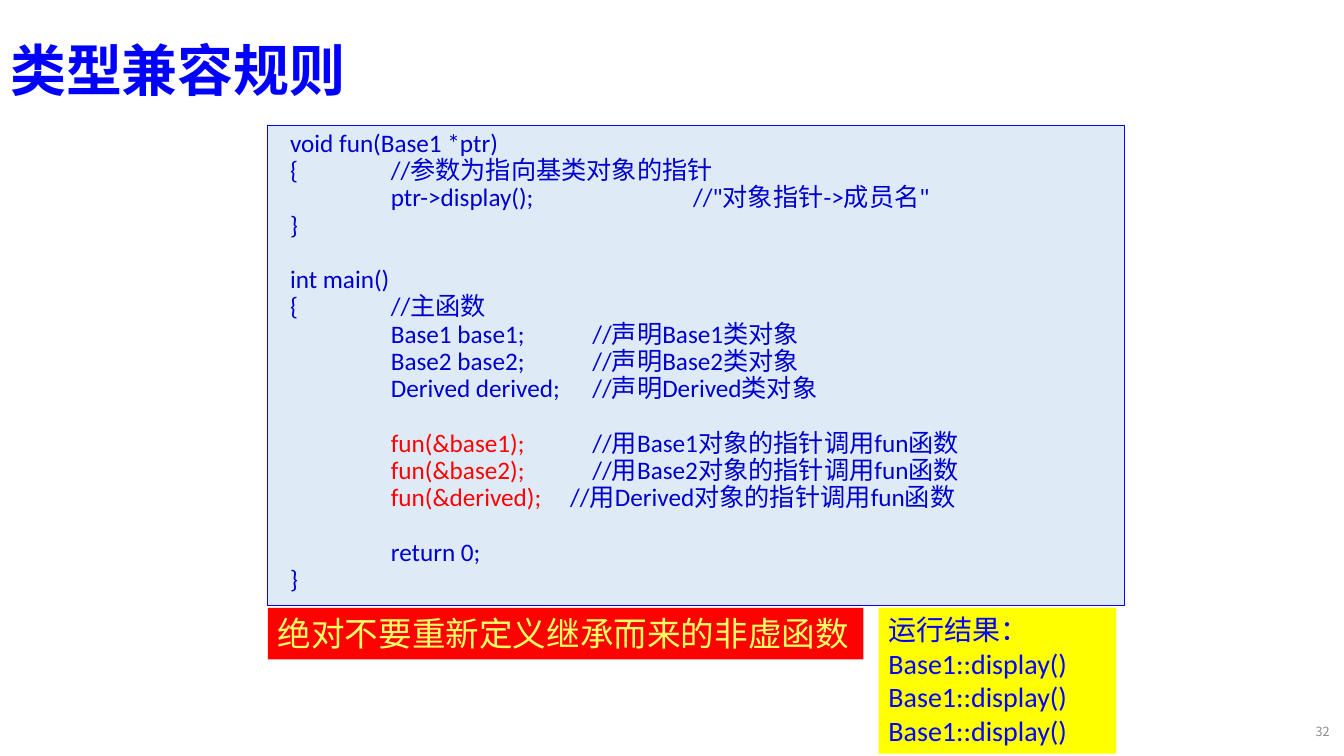
from lxml import etree
from pptx import Presentation
from pptx.dml.color import RGBColor
from pptx.enum.shapes import MSO_SHAPE
from pptx.enum.text import MSO_ANCHOR, PP_ALIGN
from pptx.oxml.ns import qn
from pptx.util import Cm, Pt

RECTANGLE = MSO_SHAPE.RECTANGLE
TOP, MIDDLE = MSO_ANCHOR.TOP, MSO_ANCHOR.MIDDLE
LEFT, RIGHT = PP_ALIGN.LEFT, PP_ALIGN.RIGHT
LATIN, CJK = "Calibri", "Noto Sans CJK SC"

COLORS = {
    "title": "0000FF", "code": "0000CC", "call": "FF0000",
    "code_fill": "DEEBF7", "code_line": "0000FF",
    "result": "0000FF", "result_fill": "FFFF00",
    "warning": "FFFF66", "warning_fill": "FE0202", "number": "8C8C8C",
}

TITLE = "类型兼容规则"
CODE_BLOCKS = [
    ["void fun(Base1 *ptr)",
     "{\t//参数为指向基类对象的指针",
     "\tptr->display();\t\t//\"对象指针->成员名\"",
     "}"],
    ["int main()",
     "{\t//主函数",
     "\tBase1 base1;\t//声明Base1类对象",
     "\tBase2 base2;\t//声明Base2类对象",
     "\tDerived derived;\t//声明Derived类对象"],
    [("\t", "fun(&base1);", "\t//用Base1对象的指针调用fun函数"),
     ("\t", "fun(&base2);", "\t//用Base2对象的指针调用fun函数"),
     ("\t", "fun(&derived);", "\t//用Derived对象的指针调用fun函数")],
    ["\treturn 0;",
     "}"],
]
RESULT = ["运行结果："] + ["Base1::display()"] * 3
WARNING = "绝对不要重新定义继承而来的非虚函数"
PAGE_NUMBER = "32"

CODE_SIZE = 18
BLOCK_GAP = 19.5
CODE_TABS = [Cm(2.54), Cm(7.62), Cm(10.16)]
DERIVED_TABS = [Cm(2.54), Cm(7.06)]


def color(key):
    return RGBColor.from_string(COLORS[key])


def write(paragraph, text, *, size, ink, font=LATIN, bold=False,
          align=LEFT, spacing=1.0, before=0):
    paragraph.alignment = align
    paragraph.line_spacing = spacing
    paragraph.space_before = Pt(before)
    run = paragraph.add_run()
    run.text = text
    run.font.size = Pt(size)
    run.font.name = font
    run.font.bold = bold
    run.font.color.rgb = color(ink)
    properties = run.font._element
    etree.SubElement(properties, qn("a:ea")).set("typeface", font)


def set_tabs(paragraph, stops):
    tabs = etree.SubElement(paragraph._p.get_or_add_pPr(), qn("a:tabLst"))
    for stop in stops:
        tab = etree.SubElement(tabs, qn("a:tab"))
        tab.set("pos", str(int(stop)))
        tab.set("algn", "l")


def add_panel(slide, left, top, width, height, fill, line=None):
    panel = slide.shapes.add_shape(RECTANGLE, left, top, width, height)
    panel.shadow.inherit = False
    panel.fill.solid()
    panel.fill.fore_color.rgb = color(fill)
    if line:
        panel.line.color.rgb = color(line)
        panel.line.width = Pt(0.75)
    else:
        panel.line.fill.background()
    frame = panel.text_frame
    frame.word_wrap = True
    frame.vertical_anchor = TOP
    return frame


def next_paragraph(frame, first):
    return frame.paragraphs[0] if first else frame.add_paragraph()


def add_title(slide):
    title = slide.shapes.title
    title.left, title.top = Cm(0), Cm(0)
    title.width, title.height = Cm(29.21), Cm(3.68)
    title.text_frame.vertical_anchor = MIDDLE
    write(title.text_frame.paragraphs[0], TITLE, size=40, ink="title",
          font=CJK, bold=True, spacing=0.9)


def add_code(slide):
    frame = add_panel(slide, Cm(6.75), Cm(3.17), Cm(21.6), Cm(12.09),
                      "code_fill", "code_line")
    frame.margin_left = Cm(0.56)
    for block_index, block in enumerate(CODE_BLOCKS):
        for line_index, line in enumerate(block):
            first = block_index == line_index == 0
            gap = BLOCK_GAP if block_index and not line_index else 0
            paragraph = next_paragraph(frame, first)
            parts = (line,) if isinstance(line, str) else line
            for part_index, part in enumerate(parts):
                write(paragraph, part, size=CODE_SIZE, spacing=0.9, before=gap,
                      ink="call" if part_index == 1 else "code")
            derived_call = "fun(&derived);" in parts
            set_tabs(paragraph, DERIVED_TABS if derived_call else CODE_TABS)


def add_result(slide):
    frame = add_panel(slide, Cm(22.14), Cm(15.31), Cm(5.99), Cm(3.68),
                      "result_fill")
    for index, line in enumerate(RESULT):
        write(next_paragraph(frame, index == 0), line, size=20, ink="result")


def add_warning(slide):
    frame = add_panel(slide, Cm(6.75), Cm(15.32), Cm(15.01), Cm(1.3),
                      "warning_fill")
    write(frame.paragraphs[0], WARNING, size=24, ink="warning")


def add_page_number(slide):
    box = slide.shapes.add_textbox(Cm(32.74), Cm(17.93), Cm(1.02), Cm(1.02))
    frame = box.text_frame
    frame.word_wrap = True
    frame.vertical_anchor = MIDDLE
    write(frame.paragraphs[0], PAGE_NUMBER, size=9, ink="number",
          font=CJK, align=RIGHT)


def main():
    deck = Presentation()
    deck.slide_width, deck.slide_height = Cm(33.87), Cm(19.05)
    slide = deck.slides.add_slide(deck.slide_layouts[5])
    add_title(slide)
    add_code(slide)
    add_result(slide)
    add_warning(slide)
    add_page_number(slide)
    deck.save("out.pptx")


if __name__ == "__main__":
    main()
